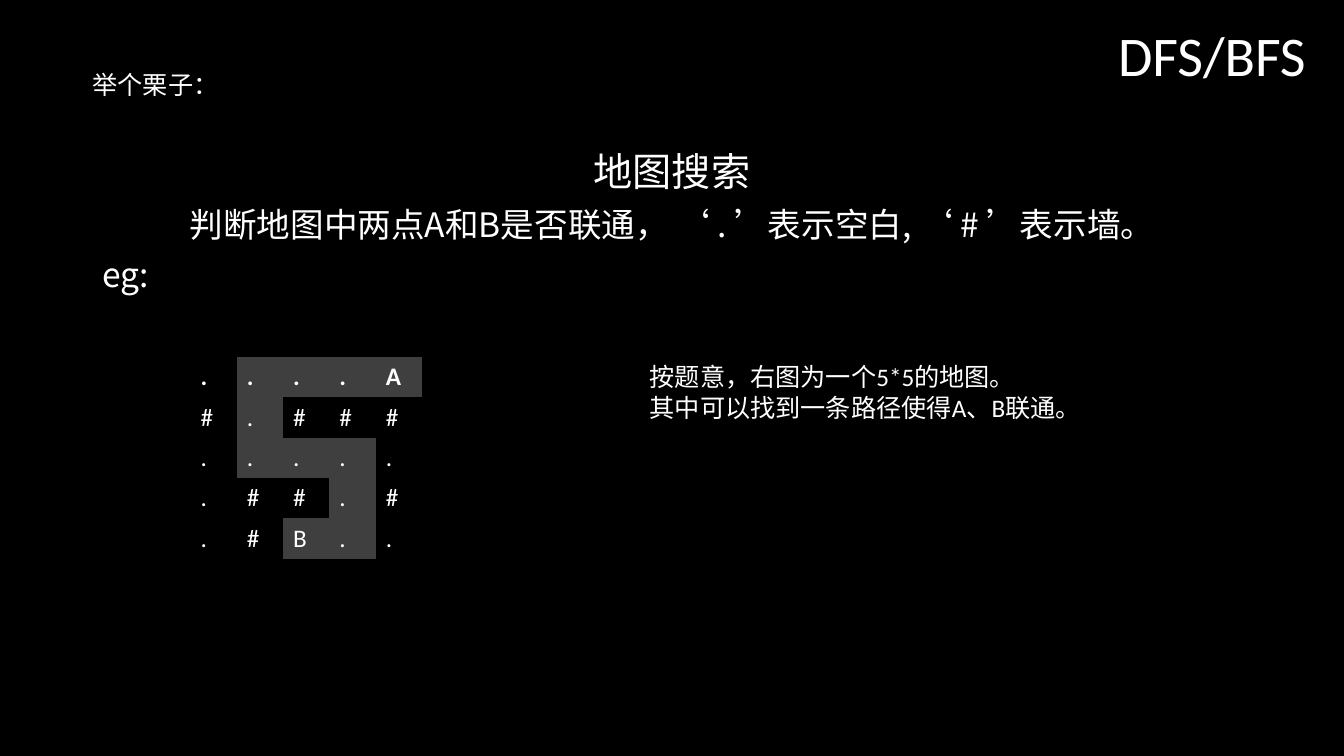
from lxml import etree
from pptx import Presentation
from pptx import util as u
from pptx.dml.color import RGBColor
from pptx.enum import text
from pptx.oxml.ns import qn

WIDTH, HEIGHT = 13.34, 7.5
LATIN, CHINESE = "Calibri", "Noto Sans CJK SC"
WHITE, BLACK, GREY = "FFFFFF", "000000", "3F3F3F"
LEFT, CENTER, RIGHT = text.PP_ALIGN.LEFT, text.PP_ALIGN.CENTER, text.PP_ALIGN.RIGHT

TITLE = "DFS/BFS"
INTRO = "举个栗子："
PROBLEM = [
    ("地图搜索", 28, LATIN, CENTER),
    ("判断地图中两点A和B是否联通， ‘ . ’表示空白, ‘ # ’表示墙。", 24, CHINESE, CENTER),
    ("eg:", 24, CHINESE, LEFT),
]
MAP = ["....A", "#.###", ".....", ".##.#", ".#B.."]
ROUTE = [(1, 2, 3, 4), (1,), (1, 2, 3), (3,), (2, 3)]
NOTES = ["按题意，右图为一个5*5的地图。", "其中可以找到一条路径使得A、B联通。"]
CELL_WIDTH, CELL_HEIGHT = 0.46, 0.4
MAP_LEFT, MAP_TOP = 1.89, 3.54
NO_GRID_STYLE = "{2D5ABB26-0587-4C30-8999-92F81FD0307C}"


def color(value):
    return RGBColor.from_string(value)


def place(shape, left, top, width, height):
    shape.left, shape.top = u.Inches(left), u.Inches(top)
    shape.width, shape.height = u.Inches(width), u.Inches(height)


def style(paragraph, size, font=LATIN, align=LEFT, bold=False):
    paragraph.alignment = align
    for run in paragraph.runs:
        run.font.size, run.font.name, run.font.bold = u.Pt(size), font, bold
        run.font.color.rgb = color(WHITE)
        etree.SubElement(run.font._element, qn("a:ea")).set("typeface", CHINESE)


def add_text(slide, lines, left, top, width, height):
    box = slide.shapes.add_textbox(*map(u.Inches, (left, top, width, height)))
    box.text_frame.word_wrap = True
    box.text_frame.text = "\n".join(lines)
    for paragraph in box.text_frame.paragraphs:
        style(paragraph, 18)


def fill_title(title):
    place(title, 0.92, 0.23, 12.14, 0.69)
    frame = title.text_frame
    frame.text = TITLE
    frame.auto_size = text.MSO_AUTO_SIZE.NONE
    frame.vertical_anchor = text.MSO_ANCHOR.MIDDLE
    frame.paragraphs[0].line_spacing = 0.9
    style(frame.paragraphs[0], 40, align=RIGHT)


def fill_problem(body):
    place(body, 0.92, 1.46, 11.5, 1.54)
    frame = body.text_frame
    frame.text = "\n".join(line for line, *_ in PROBLEM)
    frame.auto_size = text.MSO_AUTO_SIZE.NONE
    for index, (paragraph, (_, size, font, align)) in enumerate(zip(frame.paragraphs, PROBLEM)):
        properties = paragraph._p.get_or_add_pPr()
        properties.set("marL", "0")
        properties.set("indent", "0")
        etree.SubElement(properties, qn("a:buNone"))
        paragraph.line_spacing = 0.9
        paragraph.space_before = u.Pt(10 if index else 0)
        style(paragraph, size, font, align)


def add_map(slide):
    rows, columns = len(MAP), len(MAP[0])
    frame = slide.shapes.add_table(
        rows, columns, u.Inches(MAP_LEFT), u.Inches(MAP_TOP),
        u.Inches(columns * CELL_WIDTH), u.Inches(rows * CELL_HEIGHT))
    table = frame.table
    table.first_row = table.horz_banding = False
    table._tbl.tblPr.find(qn("a:tableStyleId")).text = NO_GRID_STYLE
    for row, symbols in enumerate(MAP):
        for column, symbol in enumerate(symbols):
            cell = table.cell(row, column)
            cell.text = symbol
            cell.vertical_anchor = text.MSO_ANCHOR.MIDDLE
            cell.fill.solid()
            cell.fill.fore_color.rgb = color(GREY if column in ROUTE[row] else BLACK)
            style(cell.text_frame.paragraphs[0], 18, bold=row == 0)


def main():
    presentation = Presentation()
    presentation.slide_width, presentation.slide_height = u.Inches(WIDTH), u.Inches(HEIGHT)
    slide = presentation.slides.add_slide(presentation.slide_layouts[1])
    slide.background.fill.solid()
    slide.background.fill.fore_color.rgb = color(BLACK)
    fill_title(slide.shapes.title)
    fill_problem(slide.placeholders[1])
    add_text(slide, [INTRO], 0.82, 0.64, 1.7, 0.4)
    add_map(slide)
    add_text(slide, NOTES, 6.35, MAP_TOP, 5.6, 0.7)
    presentation.save("out.pptx")


if __name__ == "__main__":
    main()
